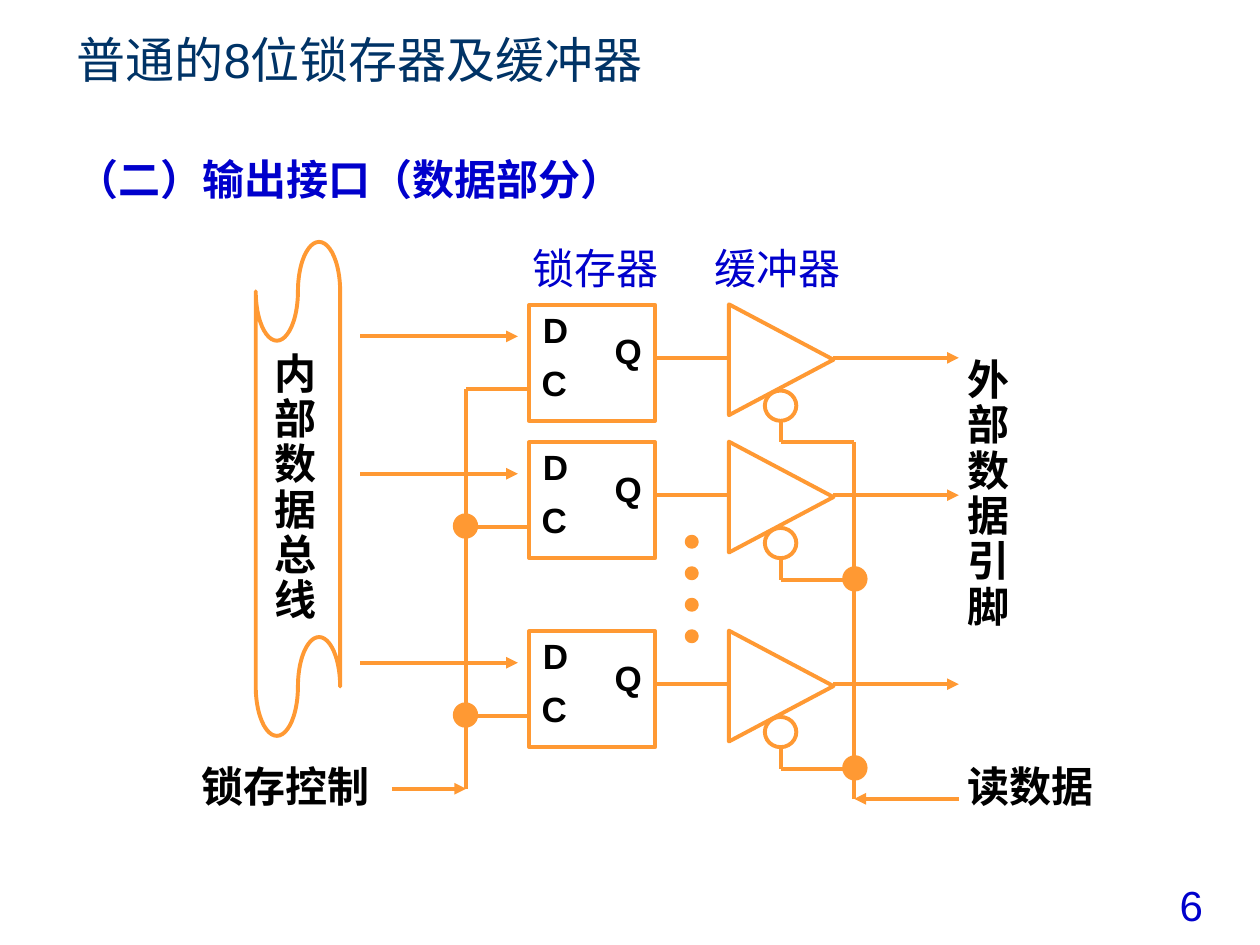
from typing import NamedTuple

from lxml.etree import SubElement
from pptx import Presentation
from pptx.dml.color import RGBColor
from pptx.enum.shapes import MSO_CONNECTOR as Link, MSO_SHAPE as Kind
from pptx.enum.text import MSO_ANCHOR as Anchor, MSO_AUTO_SIZE as Fit, PP_ALIGN as Align
from pptx.oxml.ns import qn
from pptx.util import Pt

PX = 9144  # 100 px to the inch
ORANGE = RGBColor(0xFF, 0x99, 0x33)
BLUE = RGBColor(0x00, 0x00, 0xCC)
NAVY = RGBColor(0x00, 0x33, 0x66)
BLACK = RGBColor(0x00, 0x00, 0x00)


class Box(NamedTuple):
    x: int
    y: int
    w: int
    h: int

    def emu(self) -> list[int]:
        return [v * PX for v in self]


class Label(NamedTuple):
    box: Box
    text: str
    size: int = 24
    color: RGBColor = BLACK
    bold: bool = True
    align: Align = Align.CENTER
    anchor: Anchor = Anchor.MIDDLE


class Wire(NamedTuple):
    x1: int
    y1: int
    x2: int
    y2: int
    arrow: bool = False


deck = Presentation()
deck.slide_width, deck.slide_height = 1000 * PX, 750 * PX
slide = deck.slides.add_slide(deck.slide_layouts[1])
shapes = slide.shapes


def write(para, text: str, size: int, color: RGBColor, bold: bool) -> None:
    run = para.add_run()
    run.text = text
    font = run.font
    font.name, font.size, font.bold = "Arial", Pt(size), bold
    font.color.rgb = color


def place(holder, box: Box, anchor: Anchor):
    """Move a placeholder and return its first paragraph."""
    holder.left, holder.top, holder.width, holder.height = box.emu()
    frame = holder.text_frame
    frame.auto_size, frame.vertical_anchor = Fit.NONE, anchor
    para = frame.paragraphs[0]
    para.alignment = Align.LEFT
    para.space_before = Pt(0)
    return para


def draw_label(label: Label) -> None:
    """Each line of the text becomes a paragraph."""
    frame = shapes.add_textbox(*label.box.emu()).text_frame
    frame.word_wrap, frame.vertical_anchor = False, label.anchor
    for i, line in enumerate(label.text.split("\n")):
        para = frame.add_paragraph() if i else frame.paragraphs[0]
        para.alignment, para.line_spacing = label.align, 0.9
        write(para, line, label.size, label.color, label.bold)


def draw_shape(kind: Kind, box: Box, solid: bool = False):
    shape = shapes.add_shape(kind, *box.emu())
    shape.shadow.inherit = False
    if solid:
        shape.fill.solid()
        shape.fill.fore_color.rgb = ORANGE
    else:
        shape.fill.background()
    shape.line.color.rgb, shape.line.width = ORANGE, Pt(2.25)
    return shape


def draw_dot(x: int, y: int, size: int) -> None:
    draw_shape(Kind.OVAL, Box(x, y, size, size), solid=True)


def draw_wire(wire: Wire) -> None:
    line = shapes.add_connector(Link.STRAIGHT, *[v * PX for v in wire[:4]])
    line.line.color.rgb, line.line.width = ORANGE, Pt(2.25)
    props = line._element.spPr
    if wire.arrow:
        SubElement(line.line._get_or_add_ln(), qn("a:tailEnd"), type="triangle")
    SubElement(props, qn("a:effectLst"))


def draw_row(top: int) -> None:
    """One bit: latch, buffer with its enable bubble, and their wires."""
    for wire in (
        Wire(286, top + 25, 411, top + 25, True),
        Wire(370, top + 67, 420, top + 67),
        Wire(520, top + 42, 578, top + 42),
        Wire(620, top + 92, 620, top + 109),
        Wire(678, top + 109, 620, top + 109),
        Wire(661, top + 42, 761, top + 42, True),
    ):
        draw_wire(wire)
    draw_shape(Kind.OVAL, Box(607, top + 68, 25, 24))
    gate = draw_shape(Kind.ISOSCELES_TRIANGLE, Box(576, top + 2, 88, 83))
    gate.rotation = 90
    draw_shape(Kind.RECTANGLE, Box(420, top, 100, 92))
    for pin, x, y in (("D", 421, 0), ("C", 420, 42), ("Q", 478, 17)):
        draw_label(Label(Box(x, top + y, 40, 43), pin, 20))


# Title and subtitle
head = place(shapes.title, Box(51, 13, 866, 62), Anchor.BOTTOM)
write(head, "普通的8位锁存器及缓冲器", 28, NAVY, False)

sub = place(slide.placeholders[1], Box(51, 107, 864, 63), Anchor.TOP)
sub.line_spacing = 1.25
props = sub._p.get_or_add_pPr()
props.set("marL", str(38 * PX))
props.set("indent", str(-38 * PX))
SubElement(props, qn("a:buNone"))
write(sub, "（二）输出接口（数据部分）", 24, BLUE, True)

# Internal data bus
draw_shape(Kind.FLOWCHART_PUNCHED_TAPE, Box(203, 192, 67, 392))

# Latch and buffer rows
for top in (242, 351, 501):
    draw_row(top)

# Shared control lines
for wire in (
    Wire(311, 626, 370, 626, True),
    Wire(370, 309, 370, 626),
    Wire(678, 351, 678, 634),
    Wire(761, 634, 678, 634, True),
):
    draw_wire(wire)

# Junctions and the dots for the omitted rows
for x, y in ((361, 409), (361, 559), (670, 451), (670, 601)):
    draw_dot(x, y, 17)
for i in range(4):
    draw_dot(545, 426 + 25 * i, 8)

# Labels
for label in (
    Label(Box(208, 263, 53, 250), "\n".join("内部数据总线")),
    Label(Box(758, 268, 53, 250), "\n".join("外部数据引脚")),
    Label(Box(150, 601, 153, 50), "锁存控制"),
    Label(Box(758, 601, 120, 50), "读数据"),
    Label(Box(413, 192, 121, 46), "锁存器", 24, BLUE, False, Align.LEFT, Anchor.TOP),
    Label(Box(557, 192, 121, 46), "缓冲器", 24, BLUE, False, Align.LEFT, Anchor.TOP),
    Label(Box(902, 698, 87, 46), "6", 24, BLUE, False, anchor=Anchor.TOP),
):
    draw_label(label)

deck.save("out.pptx")
